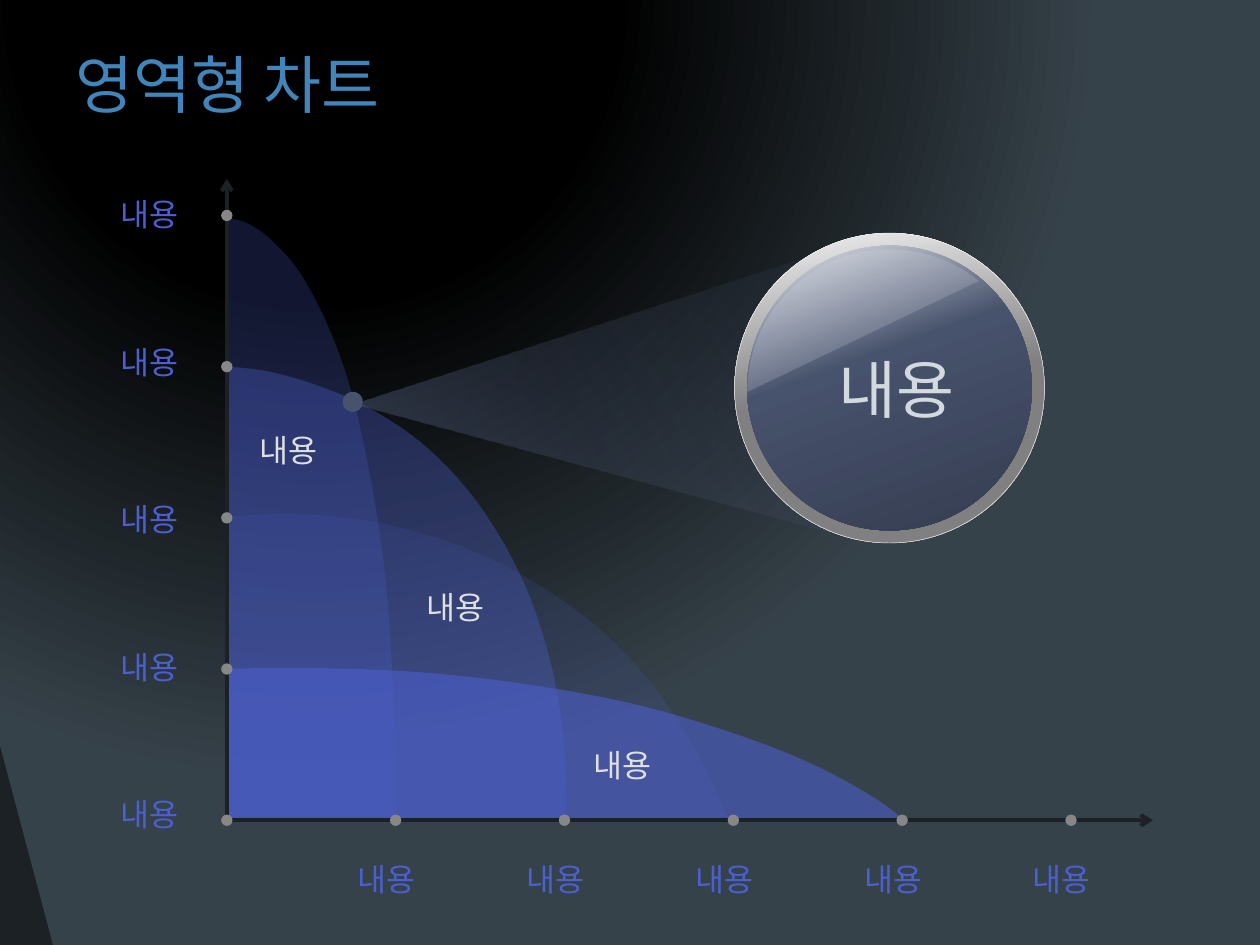
import math
from dataclasses import dataclass

from lxml import etree
from pptx import Presentation
from pptx import util as u
from pptx.dml import color
from pptx.enum import shapes, text
from pptx.oxml import ns

BLUE, STEEL, DARK, GREY = "4C5FCF", "47526C", "1B2125", "878787"
ORIGIN_X, ORIGIN_Y = 1.8, 6.51
STEP_X, STEP_Y = 1.34, 1.2
CAPTION = "내용"


@dataclass
class Area:
    opacity: int
    knots: list


@dataclass
class Label:
    left: float
    top: float
    hue: str
    width: float = 0.7
    height: float = 0.4
    size: int = 18


@dataclass
class Stop:
    position: int
    hue: str
    opacity: int = 100


AREAS = [
    Area(15, [(1.8, 4.1), (2.2, 4.08), (2.66, 4.1), (3.1, 4.17), (3.59, 4.31), (4.1, 4.54),
              (4.61, 4.87), (5.03, 5.26), (5.36, 5.69), (5.6, 6.11), (5.78, 6.5)]),
    Area(35, [(1.81, 2.91), (2.14, 2.95), (2.55, 3.07), (2.97, 3.26), (3.41, 3.57),
              (3.82, 4.03), (4.17, 4.65), (4.39, 5.34), (4.48, 5.96), (4.5, 6.52)]),
    Area(24, [(1.81, 1.73), (1.98, 1.78), (2.18, 1.93), (2.39, 2.18), (2.6, 2.58), (2.78, 3.08),
              (2.93, 3.74), (3.04, 4.43), (3.1, 5.09), (3.14, 6.04), (3.14, 6.47)]),
    Area(58, [(1.8, 5.31), (2.3, 5.3), (3.09, 5.32), (3.8, 5.38), (4.55, 5.49),
              (5.2, 5.63), (5.91, 5.85), (6.46, 6.07), (6.92, 6.32), (7.18, 6.51)]),
]
LABELS = (
    [Label(left, top, "DFDFDF") for left, top in ((1.96, 3.37), (3.29, 4.62), (4.61, 5.87))]
    + [Label(0.86, top, BLUE) for top in (1.5, 2.67, 3.92, 5.09, 6.26)]
    + [Label(2.74 + STEP_X * column, 6.78, BLUE) for column in range(5)]
)


def inches(value: float) -> u.Length:
    return u.Cm(value * 2.54)


def rgb(hue: str) -> color.RGBColor:
    return color.RGBColor.from_string(hue)


def set_values(target, values: dict) -> None:
    for name, value in values.items():
        setattr(target, name, value)


def add_child(parent, tag: str, **attributes):
    values = {name: str(value) for name, value in attributes.items()}
    return etree.SubElement(parent, ns.qn(tag), values)


def set_opacity(hue_element, opacity: int) -> None:
    if opacity < 100:
        add_child(hue_element, "a:alpha", val=opacity * 1000)


def fill_stops(gradient, stops: list):
    for child in list(gradient):
        gradient.remove(child)
    stop_list = add_child(gradient, "a:gsLst")
    for stop in stops:
        element = add_child(stop_list, "a:gs", pos=stop.position * 1000)
        set_opacity(add_child(element, "a:srgbClr", val=stop.hue), stop.opacity)


def paint(shape, hue: str, opacity: int = 100) -> None:
    shape.shadow.inherit = False
    shape.line.fill.background()
    shape.fill.solid()
    shape.fill.fore_color.rgb = rgb(hue)
    set_opacity(shape.element.spPr.find(ns.qn("a:solidFill"))[0], opacity)


def paint_gradient(shape, stops: list, angle: int) -> None:
    shape.shadow.inherit = False
    shape.line.fill.background()
    shape.fill.gradient()
    gradient = shape.element.spPr.find(ns.qn("a:gradFill"))
    fill_stops(gradient, stops)
    add_child(gradient, "a:lin", ang=angle * 60000, scaled=0)


def paint_background(slide) -> None:
    slide.background.fill.gradient()
    gradient = slide.element.find(".//" + ns.qn("a:gradFill"))
    fill_stops(gradient, [Stop(0, "000000"), Stop(38, "000000"), Stop(100, "36424A")])
    circle = add_child(gradient, "a:path", path="circle")
    add_child(circle, "a:fillToRect", l=0, t=-80000, r=50000, b=160000)


def add_preset(slide, kind, left: float, top: float, width: float, height: float):
    return slide.shapes.add_shape(kind, *map(inches, (left, top, width, height)))


def add_dot(slide, x: float, y: float, diameter: float, hue: str) -> None:
    dot = add_preset(slide, shapes.MSO_SHAPE.OVAL, x - diameter / 2, y - diameter / 2,
                     diameter, diameter)
    paint(dot, hue)


def add_outline(slide, points: list):
    emu = [(inches(x), inches(y)) for x, y in points]
    builder = slide.shapes.build_freeform(*emu[0])
    builder.add_line_segments(emu[1:], close=True)
    return builder.convert_to_shape()


def smooth_curve(knots: list, steps: int = 6) -> list:
    padded = [knots[0], *knots, knots[-1]]
    points = []
    for a, b, c, d in zip(padded, padded[1:], padded[2:], padded[3:]):
        for step in range(steps):
            t = step / steps
            points.append(tuple(
                (2 * q + (r - p) * t + (2 * p - 5 * q + 4 * r - s) * t ** 2
                 + (3 * q - p - 3 * r + s) * t ** 3) / 2
                for p, q, r, s in zip(a, b, c, d)))
    return points + [knots[-1]]


def add_area(slide, area: Area) -> None:
    base = (ORIGIN_X, area.knots[-1][1])
    paint(add_outline(slide, smooth_curve(area.knots) + [base]), BLUE, area.opacity)


def add_axis(slide, tip_x: float, tip_y: float) -> None:
    axis = slide.shapes.add_connector(
        shapes.MSO_CONNECTOR.STRAIGHT, *map(inches, (tip_x, tip_y, ORIGIN_X, ORIGIN_Y)))
    axis.line.color.rgb = rgb(DARK)
    axis.line.width = u.Pt(2.25)
    add_child(axis.line._get_or_add_ln(), "a:headEnd", type="arrow")
    add_child(axis.element.spPr, "a:effectLst")


def add_label(slide, label: Label) -> None:
    box = slide.shapes.add_textbox(
        *map(inches, (label.left, label.top, label.width, label.height)))
    set_values(box.text_frame, {"word_wrap": False, "text": CAPTION,
                                "auto_size": text.MSO_AUTO_SIZE.SHAPE_TO_FIT_TEXT,
                                "vertical_anchor": text.MSO_ANCHOR.TOP})
    font = box.text_frame.paragraphs[0].runs[0].font
    set_values(font, {"name": "Arial", "size": u.Pt(label.size)})
    font.color.rgb = rgb(label.hue)


def add_title(slide) -> None:
    title = slide.shapes.title
    set_values(title, {"left": inches(0.5), "top": inches(0.3),
                       "width": inches(9), "height": inches(0.72)})
    set_values(title.text_frame, {"text": "영역형 차트",
                                  "vertical_anchor": text.MSO_ANCHOR.MIDDLE})
    paragraph = title.text_frame.paragraphs[0]
    paragraph.alignment = text.PP_ALIGN.LEFT
    font = paragraph.runs[0].font
    set_values(font, {"name": "Cabin", "size": u.Pt(36)})
    font.color.rgb = rgb("4185BA")


def add_beam(slide, corners: list, center: tuple, rotation: float) -> None:
    cosine, sine = math.cos(math.radians(rotation)), math.sin(math.radians(rotation))
    offsets = [(x - center[0], y - center[1]) for x, y in corners]
    upright = [(center[0] + x * cosine + y * sine, center[1] - x * sine + y * cosine)
               for x, y in offsets]
    beam = add_outline(slide, upright)
    beam.rotation = rotation
    paint_gradient(beam, [Stop(0, STEEL, 75), Stop(40, STEEL, 30), Stop(100, STEEL, 0)], 90)


def add_lens(slide) -> None:
    add_beam(slide, [(6.91, 4.31), (2.8, 3.2), (6.9, 1.87)], (5.36, 3.49), 241.9)
    rim = add_preset(slide, shapes.MSO_SHAPE.OVAL, 5.83, 1.85, 2.46, 2.46)
    paint_gradient(rim, [Stop(0, "F2F2F2"), Stop(50, "808080"), Stop(100, "808080")], 80)
    rim.line.color.rgb = rgb("F2F2F2")
    rim.line.width = u.Pt(0.25)
    glass = add_preset(slide, shapes.MSO_SHAPE.OVAL, 5.93, 1.95, 2.26, 2.26)
    paint_gradient(glass, [Stop(0, "EBEDF2"), Stop(40, STEEL), Stop(100, "353D51")], 70)
    shine = add_preset(slide, shapes.MSO_SHAPE.CHORD, 5.93, 1.98, 2.26, 2.26)
    shine.adjustments[0], shine.adjustments[1] = 53.95, 131.3
    shine.rotation = 90
    paint(shine, "D7DBE5", 20)
    add_dot(slide, 2.8, 3.19, 0.16, STEEL)
    add_label(slide, Label(6.56, 2.73, "D3DADF", 1.2, 0.71, 36))


def main() -> None:
    presentation = Presentation()
    set_values(presentation, {"slide_width": inches(10), "slide_height": inches(7.5)})
    slide = presentation.slides.add_slide(presentation.slide_layouts[5])
    paint_background(slide)
    paint(add_preset(slide, shapes.MSO_SHAPE.RIGHT_TRIANGLE, 0, 5.92, 0.42, 1.58), DARK)
    add_title(slide)
    for area in AREAS:
        add_area(slide, area)
    add_axis(slide, ORIGIN_X, 1.42)
    add_axis(slide, 9.15, ORIGIN_Y)
    for row in range(5):
        add_dot(slide, ORIGIN_X, ORIGIN_Y - STEP_Y * row, 0.09, GREY)
    for column in range(1, 6):
        add_dot(slide, ORIGIN_X + STEP_X * column, ORIGIN_Y, 0.09, GREY)
    for label in LABELS:
        add_label(slide, label)
    add_lens(slide)
    presentation.save("out.pptx")


if __name__ == "__main__":
    main()
